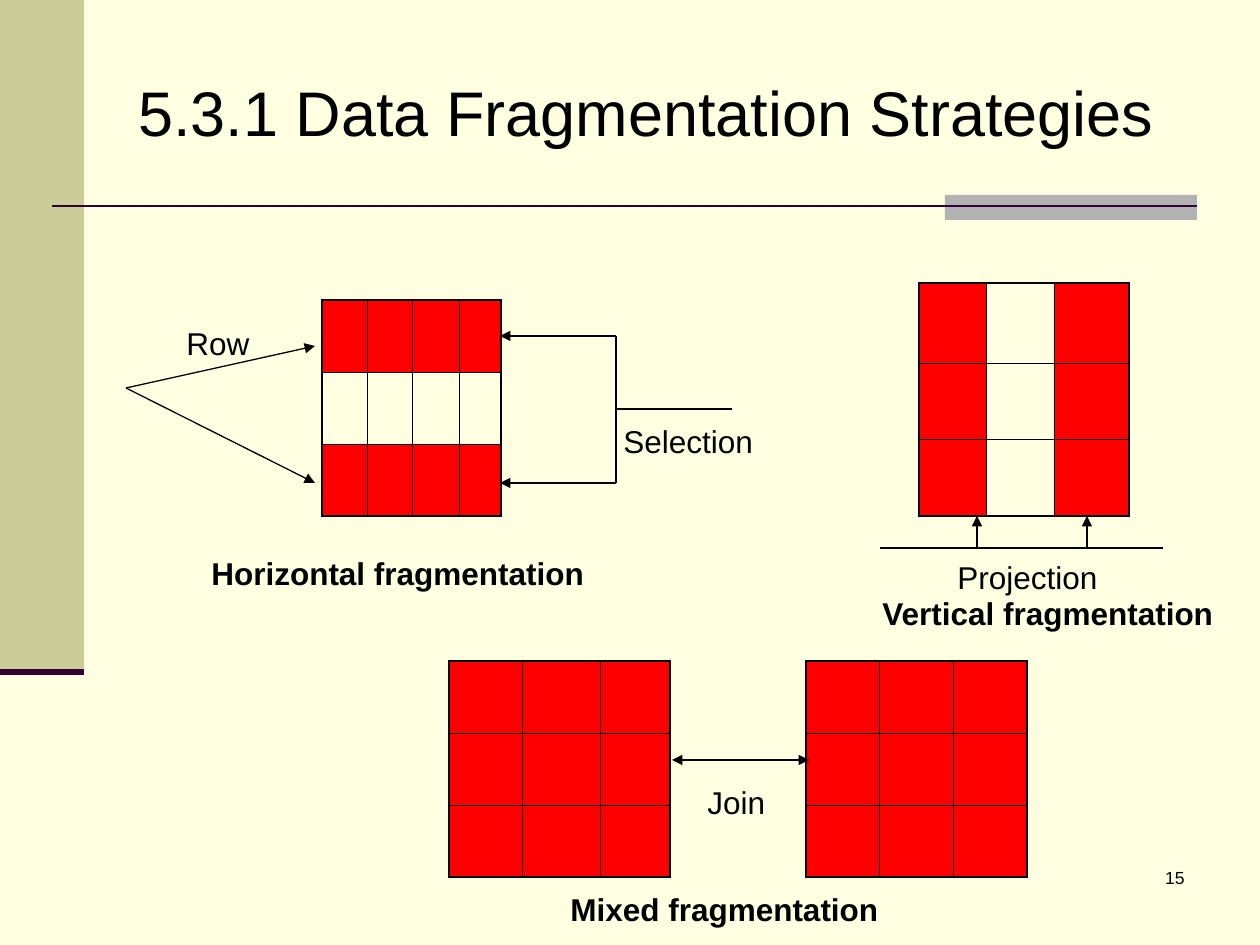
from dataclasses import dataclass

from lxml.etree import SubElement
from pptx import Presentation
from pptx.dml.color import RGBColor
from pptx.enum.shapes import MSO_CONNECTOR as Connector, MSO_SHAPE as Preset
from pptx.enum.text import MSO_AUTO_SIZE as AutoSize, PP_ALIGN as Align
from pptx.oxml.ns import qn
from pptx.util import Emu, Pt

EMU_PER_PX = 914400 / 126
BLACK, RED, PURPLE = "000000", "FF0000", "330033"
CREAM, OLIVE, GREY = "FFFFE1", "CCCC99", "B2B2B2"
THIN, THICK = 0.45, 1.08


@dataclass
class Band:
    left: int
    top: int
    width: int
    height: int
    fill: str


@dataclass
class Line:
    x1: int
    y1: int
    x2: int
    y2: int
    head: bool = False
    tail: bool = False
    color: str = BLACK
    weight: float = 0.75


@dataclass
class Label:
    text: str
    left: int
    top: int
    width: int
    height: int = 50
    size: int = 18
    bold: bool = False
    wrap: bool = False
    align: Align = Align.LEFT
    spacing: float = 1.0


@dataclass
class Grid:
    left: int
    top: int
    columns: tuple[int, ...]
    rows: tuple[int, ...]
    clear_row: int = -1
    clear_column: int = -1


BANDS = [
    Band(0, 0, 84, 672, OLIVE),
    Band(945, 195, 252, 25, GREY),
]

RULES = [
    Line(52, 206, 1197, 206, color=PURPLE, weight=1.5),
    Line(0, 672, 84, 672, color=PURPLE, weight=3.5),
]

GRIDS = [
    Grid(322, 300, (45, 45, 47, 42), (72, 72, 72), clear_row=1),
    Grid(919, 283, (67, 68, 75), (80, 76, 77), clear_column=1),
    Grid(449, 661, (73, 78, 70), (72, 72, 72)),
    Grid(806, 661, (73, 74, 74), (72, 72, 72)),
]

ARROWS = [
    Line(616, 336, 500, 336, tail=True),
    Line(616, 483, 500, 483, tail=True),
    Line(616, 336, 616, 483),
    Line(616, 409, 732, 409),
    Line(126, 388, 315, 346, tail=True),
    Line(126, 388, 315, 483, tail=True),
    Line(977, 547, 977, 516, tail=True),
    Line(1087, 547, 1087, 516, tail=True),
    Line(880, 548, 1163, 548),
    Line(672, 760, 809, 760, head=True, tail=True),
]

LABELS = [
    Label("5.3.1 Data Fragmentation Strategies", 126, 76, 1075, 81,
          size=36, wrap=True, spacing=0.9),
    Label("Row", 174, 318, 88),
    Label("Selection", 611, 416, 155),
    Label("Projection", 945, 552, 165),
    Label("Join", 695, 777, 83),
    Label("Horizontal fragmentation", 199, 548, 398, bold=True),
    Label("Vertical fragmentation", 870, 588, 358, bold=True),
    Label("Mixed fragmentation", 558, 884, 333, bold=True),
    Label("15", 935, 861, 262, 63, size=10, wrap=True, align=Align.RIGHT),
]


def px(length: int) -> Emu:
    return Emu(round(length * EMU_PER_PX))


def rgb(color: str) -> RGBColor:
    return RGBColor.from_string(color)


def draw_band(slide, band: Band) -> None:
    shape = slide.shapes.add_shape(
        Preset.RECTANGLE, px(band.left), px(band.top), px(band.width), px(band.height))
    shape.shadow.inherit = False
    shape.fill.solid()
    shape.fill.fore_color.rgb = rgb(band.fill)
    shape.line.fill.background()


def draw_line(slide, line: Line) -> None:
    connector = slide.shapes.add_connector(
        Connector.STRAIGHT, px(line.x1), px(line.y1), px(line.x2), px(line.y2))
    connector.line.color.rgb = rgb(line.color)
    connector.line.width = Pt(line.weight)
    properties = connector._element.spPr
    outline = properties.find(qn("a:ln"))
    for tag, shown in (("a:headEnd", line.head), ("a:tailEnd", line.tail)):
        if shown:
            SubElement(outline, qn(tag), type="triangle")
    SubElement(properties, qn("a:effectLst"))


def draw_label(slide, label: Label) -> None:
    box = slide.shapes.add_textbox(
        px(label.left), px(label.top), px(label.width), px(label.height))
    frame = box.text_frame
    frame.word_wrap = label.wrap
    frame.auto_size = AutoSize.NONE
    paragraph = frame.paragraphs[0]
    paragraph.text = label.text
    paragraph.alignment = label.align
    paragraph.line_spacing = label.spacing
    paragraph.font.name = "Arial"
    paragraph.font.size = Pt(label.size)
    paragraph.font.bold = label.bold
    paragraph.font.color.rgb = rgb(BLACK)


def add_border(cell, side: str, weight: float) -> None:
    properties = cell._tc.get_or_add_tcPr()
    border = SubElement(properties, qn(f"a:ln{side}"), w=str(Pt(weight)))
    fill = SubElement(border, qn("a:solidFill"))
    SubElement(fill, qn("a:srgbClr"), val=BLACK)


def draw_grid(slide, grid: Grid) -> None:
    last_row, last_column = len(grid.rows) - 1, len(grid.columns) - 1
    table = slide.shapes.add_table(
        len(grid.rows), len(grid.columns), px(grid.left), px(grid.top),
        px(sum(grid.columns)), px(sum(grid.rows))).table
    table.first_row = table.horz_banding = False
    for column, width in zip(table.columns, grid.columns):
        column.width = px(width)
    for r, height in enumerate(grid.rows):
        table.rows[r].height = px(height)
        for c in range(len(grid.columns)):
            cell = table.cell(r, c)
            outer = {"L": c == 0, "R": c == last_column, "T": r == 0, "B": r == last_row}
            for side, is_outer in outer.items():
                add_border(cell, side, THICK if is_outer else THIN)
            if r == grid.clear_row or c == grid.clear_column:
                cell.fill.background()
            else:
                cell.fill.solid()
                cell.fill.fore_color.rgb = rgb(RED)


def main() -> None:
    presentation = Presentation()
    presentation.slide_width, presentation.slide_height = px(1260), px(945)
    slide = presentation.slides.add_slide(presentation.slide_layouts[6])
    slide.background.fill.solid()
    slide.background.fill.fore_color.rgb = rgb(CREAM)
    for band in BANDS:
        draw_band(slide, band)
    for grid in GRIDS:
        draw_grid(slide, grid)
    for line in RULES + ARROWS:
        draw_line(slide, line)
    for label in LABELS:
        draw_label(slide, label)
    presentation.save("out.pptx")


if __name__ == "__main__":
    main()
